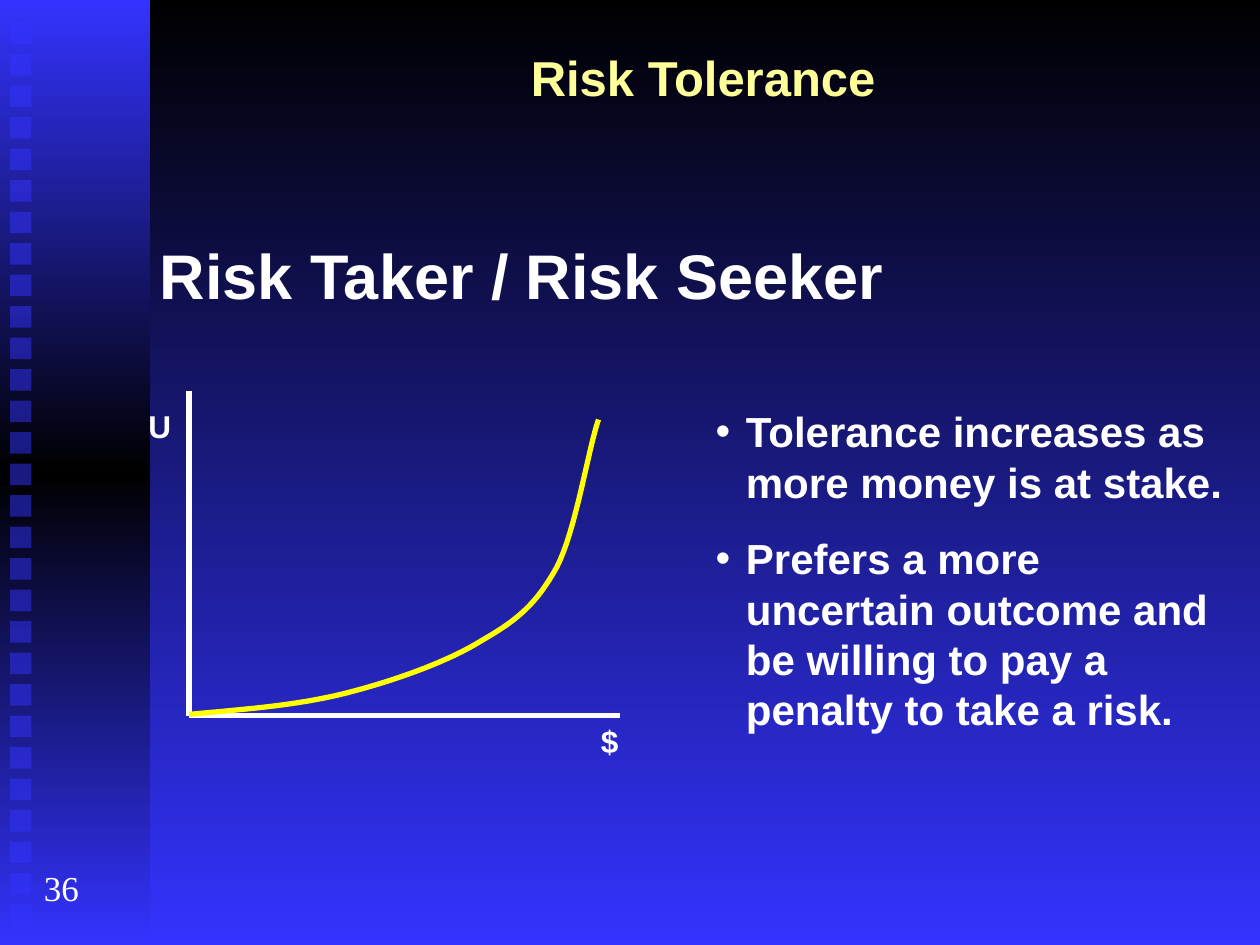
from dataclasses import dataclass

from lxml.etree import SubElement
from pptx import Presentation
from pptx.dml.color import RGBColor
from pptx.enum.shapes import MSO_CONNECTOR, MSO_SHAPE
from pptx.enum.text import MSO_ANCHOR, PP_ALIGN
from pptx.oxml.ns import qn
from pptx.util import Inches, Pt

HUES = {"blue": "3333FF", "black": "000000", "white": "FFFFFF",
        "cream": "FFFF99", "yellow": "FFFF00"}


@dataclass
class Label:
    text: str
    left: float
    top: float
    width: float
    height: float
    size: int
    hue: str = "white"
    font: str = "Arial"
    bold: bool = True
    align: PP_ALIGN = PP_ALIGN.LEFT


@dataclass
class Axis:
    start: tuple[float, float]
    end: tuple[float, float]


def tint(name: str) -> RGBColor:
    return RGBColor.from_string(HUES[name])


def shade(fill, names: list[str]) -> None:
    fill.gradient()
    fill.gradient_angle = 270
    stops = fill._fill._gradFill.find(qn("a:gsLst"))
    for stop in list(stops):
        stops.remove(stop)
    for i, name in enumerate(names):
        stop = SubElement(stops, qn("a:gs"), pos=str(100000 * i // (len(names) - 1)))
        SubElement(stop, qn("a:srgbClr"), val=HUES[name])


def block(slide, left: float, top: float, width: float, height: float):
    shape = slide.shapes.add_shape(MSO_SHAPE.RECTANGLE, Inches(left), Inches(top),
                                   Inches(width), Inches(height))
    shape.shadow.inherit = False
    shape.line.fill.background()
    return shape


def side(slide) -> None:
    shade(block(slide, 0, 0, 1.19, 7.5).fill, ["blue", "black", "blue"])
    for i in range(29):
        square = block(slide, 0.08, 0.18 + 0.25 * i, 0.17, 0.17)
        square.fill.solid()
        square.fill.fore_color.rgb = tint("blue")
        hue = square.fill._xPr.find(qn("a:solidFill"))[0]
        SubElement(hue, qn("a:alpha"), val="50000")


def write(shape, label: Label) -> None:
    shape.left, shape.top = Inches(label.left), Inches(label.top)
    shape.width, shape.height = Inches(label.width), Inches(label.height)
    frame = shape.text_frame
    frame.text = label.text
    frame.word_wrap = True
    frame.vertical_anchor = MSO_ANCHOR.TOP
    for para in frame.paragraphs:
        para.alignment = label.align
        for run in para.runs:
            font = run.font
            font.name, font.size, font.bold = label.font, Pt(label.size), label.bold
            font.color.rgb = tint(label.hue)


def bullet(shape) -> None:
    for i, para in enumerate(shape.text_frame.paragraphs):
        para.space_before = Pt(15 if i else 0)
        props = para._p.get_or_add_pPr()
        props.set("marL", str(Inches(0.24)))
        props.set("indent", str(Inches(-0.24)))
        hue = SubElement(props, qn("a:buClr"))
        SubElement(hue, qn("a:srgbClr"), val=HUES["white"])
        SubElement(props, qn("a:buFont"), typeface="Arial")
        SubElement(props, qn("a:buChar"), char="•")


def draw(slide, axis: Axis) -> None:
    ends = [Inches(v) for v in (*axis.start, *axis.end)]
    line = slide.shapes.add_connector(MSO_CONNECTOR.STRAIGHT, *ends)
    line.line.color.rgb = tint("white")
    line.line.width = Pt(3)
    SubElement(line._element.spPr, qn("a:effectLst"))


def bend(knots: list[tuple[float, float]], steps: int = 16) -> list[tuple[int, int]]:
    dots = [knots[0]]
    for i in range(0, len(knots) - 1, 3):
        for n in range(1, steps + 1):
            t = n / steps
            parts = ((1 - t) ** 3, 3 * t * (1 - t) ** 2, 3 * t * t * (1 - t), t ** 3)
            dots.append(tuple(sum(w * k[d] for w, k in zip(parts, knots[i:i + 4]))
                              for d in (0, 1)))
    return [(Inches(x), Inches(y)) for x, y in dots]


def trace(slide, knots: list[tuple[float, float]]) -> None:
    dots = bend(knots)
    pen = slide.shapes.build_freeform(*dots[0])
    pen.add_line_segments(dots[1:], close=False)
    curve = pen.convert_to_shape()
    curve.shadow.inherit = False
    curve.fill.background()
    curve.line.color.rgb = tint("yellow")
    curve.line.width = Pt(3)


TITLE = Label("Risk Tolerance", 1.33, 0.33, 8.5, 0.57, 28, "cream", align=PP_ALIGN.CENTER)
BODY = Label("Tolerance increases as more money is at stake.\n"
             "Prefers a more uncertain outcome and be willing to pay a penalty to take a risk.",
             5.58, 3.17, 4.25, 2.71, 24)
LABELS = [
    Label("36", 0.25, 6.83, 0.5, 0.44, 20, font="Times New Roman", bold=False),
    Label("Risk Taker / Risk Seeker", 1.17, 1.83, 8.67, 0.7, 36),
    Label("U", 1.08, 3.18, 0.42, 0.4, 18),
    Label("$", 4.67, 5.68, 0.33, 0.4, 18),
]
AXES = [Axis((1.5, 3.1), (1.5, 5.68)), Axis((1.5, 5.68), (4.92, 5.68))]
KNOTS = [(1.5, 5.67), (1.93, 5.63), (2.36, 5.6), (2.75, 5.5), (3.14, 5.4),
         (3.56, 5.25), (3.83, 5.08), (4.11, 4.92), (4.26, 4.79), (4.42, 4.5),
         (4.57, 4.21), (4.67, 3.56), (4.75, 3.33)]


def main() -> None:
    deck = Presentation()
    deck.slide_width, deck.slide_height = Inches(10), Inches(7.5)
    slide = deck.slides.add_slide(deck.slide_layouts[1])
    shade(slide.background.fill, ["black", "blue"])
    side(slide)
    write(slide.shapes.title, TITLE)
    body = slide.placeholders[1]
    write(body, BODY)
    bullet(body)
    for label in LABELS:
        write(slide.shapes.add_textbox(0, 0, 0, 0), label)
    for axis in AXES:
        draw(slide, axis)
    trace(slide, KNOTS)
    deck.save("out.pptx")


if __name__ == "__main__":
    main()
